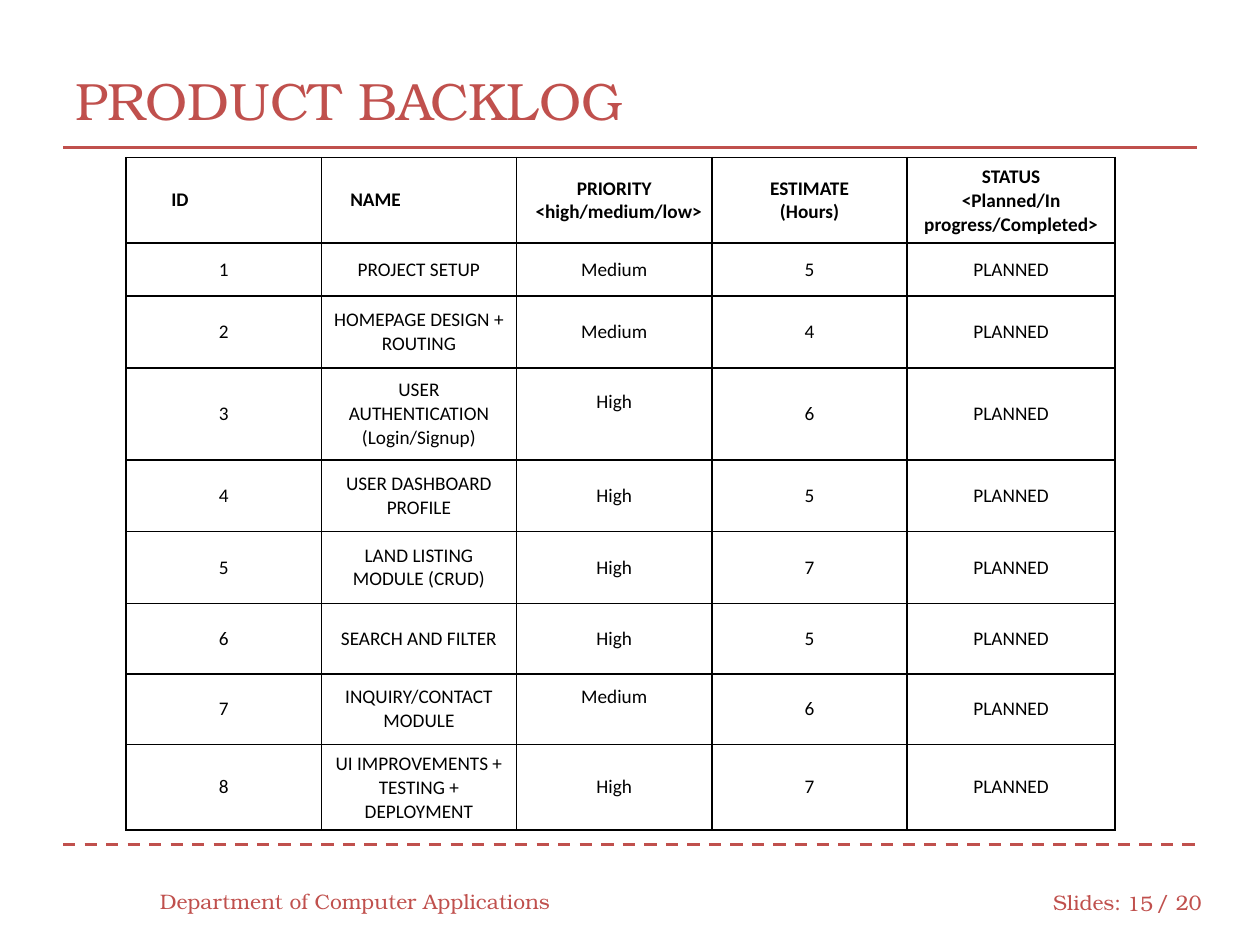
"""Build the product backlog slide with its ruled heading, table and footer."""
from lxml import etree
from pptx import Presentation, util as u
from pptx.dml.color import RGBColor
from pptx.enum import dml, shapes, text
from pptx.oxml.ns import qn

deck = Presentation()
deck.slide_width, deck.slide_height = u.Inches(10), u.Inches(7.5)
unit = deck.slide_width // 10
slide = deck.slides.add_slide(deck.slide_layouts[6])
RED, BLACK, WHITE = "C0504D", "000000", "FFFFFF"
LEFT, CENTER, RIGHT = text.PP_ALIGN.LEFT, text.PP_ALIGN.CENTER, text.PP_ALIGN.RIGHT


def color(code):
    """Turn a hex string into a colour."""
    return RGBColor.from_string(code)


def style(paragraph, face, size, code, align, bold=False):
    """Set the alignment of a paragraph and the font of its runs."""
    paragraph.alignment = align
    for run in paragraph.runs:
        run.font.name, run.font.size, run.font.bold = face, u.Pt(size), bold
        run.font.color.rgb = color(code)


for row, dash in ((6.7, dml.MSO_LINE.DASH), (1.17, None)):
    rule = slide.shapes.add_connector(
        shapes.MSO_CONNECTOR.STRAIGHT,
        *(int(n * unit) for n in (0.5, row, 9.5, row)))
    rule.line.color.rgb = color(RED)
    rule.line.width = u.Pt(1.75)
    if dash:
        rule.line.dash_style = dash
    etree.SubElement(rule._element.spPr, qn("a:effectLst"))

captions = (
    ("PRODUCT BACKLOG", (0.5, 0.33, 9, 0.92), 30, LEFT),
    ("Department of Computer Applications", (1.17, 6.95, 3.33, 0.4), 12, LEFT),
    ("Slides:", (8.26, 6.96, 0.75, 0.4), 12, LEFT),
    ("15", (8.83, 6.97, 0.42, 0.4), 12, RIGHT),
    ("/ 20", (9.08, 6.96, 0.58, 0.4), 12, LEFT),
)
for wording, place, size, align in captions:
    caption = slide.shapes.add_textbox(*(int(n * unit) for n in place)).text_frame
    caption.word_wrap = True
    caption.vertical_anchor = text.MSO_ANCHOR.MIDDLE
    caption.text = wording
    style(caption.paragraphs[0], "TeX Gyre Bonum", size, RED, align)

headings = ("ID", "NAME", "PRIORITY\n<high/medium/low>", "ESTIMATE\n(Hours)",
            "STATUS\n<Planned/In progress/Completed>")
tasks = (
    ("PROJECT SETUP", "Medium", 5),
    ("HOMEPAGE DESIGN + ROUTING", "Medium", 4),
    ("USER AUTHENTICATION (Login/Signup)", "High", 6),
    ("USER DASHBOARD PROFILE", "High", 5),
    ("LAND LISTING MODULE (CRUD)", "High", 7),
    ("SEARCH AND FILTER", "High", 5),
    ("INQUIRY/CONTACT MODULE", "Medium", 6),
    ("UI IMPROVEMENTS + TESTING + DEPLOYMENT", "High", 7),
)
records = [headings] + [
    (str(number), name, priority, str(hours), "PLANNED")
    for number, (name, priority, hours) in enumerate(tasks, 1)]
widths = (1.55, 1.55, 1.55, 1.55, 1.65)
heights = (0.68, 0.42, 0.57, 0.73, 0.57, 0.57, 0.56, 0.56, 0.68)

backlog = slide.shapes.add_table(
    len(heights), len(widths), unit, int(1.25 * unit),
    int(sum(widths) * unit), int(sum(heights) * unit)).table
for column, width in zip(backlog.columns, widths):
    column.width = int(width * unit)
for row, height in zip(backlog.rows, heights):
    row.height = int(height * unit)

for r, record in enumerate(records):
    for c, wording in enumerate(record):
        cell = backlog.cell(r, c)
        cell.text = wording
        cell.vertical_anchor = text.MSO_ANCHOR.MIDDLE
        cell.margin_left = cell.margin_right = int(0.06 * unit)
        cell.margin_top = cell.margin_bottom = int(0.06 * unit)
        align = LEFT if r == 0 and c < 2 else CENTER
        for paragraph in cell.text_frame.paragraphs:
            style(paragraph, "Calibri", 11, BLACK, align, r == 0)
        properties = cell._tc.get_or_add_tcPr()
        for side in ("lnL", "lnR", "lnT", "lnB"):
            border = etree.SubElement(properties, qn(f"a:{side}"), w=str(u.Pt(1)))
            ink = etree.SubElement(border, qn("a:solidFill"))
            etree.SubElement(ink, qn("a:srgbClr"), val=BLACK)
        cell.fill.solid()
        cell.fill.fore_color.rgb = color(WHITE)

backlog.cell(0, 0).margin_left = int(0.36 * unit)
backlog.cell(0, 1).margin_left = int(0.23 * unit)
scale = backlog.cell(0, 2).text_frame.paragraphs[1]
scale.alignment = LEFT
scale._p.get_or_add_pPr().set("marL", str(int(0.09 * unit)))
for raised in (3, 7):
    backlog.cell(raised, 2).margin_bottom = int(0.25 * unit)

deck.save("out.pptx")
